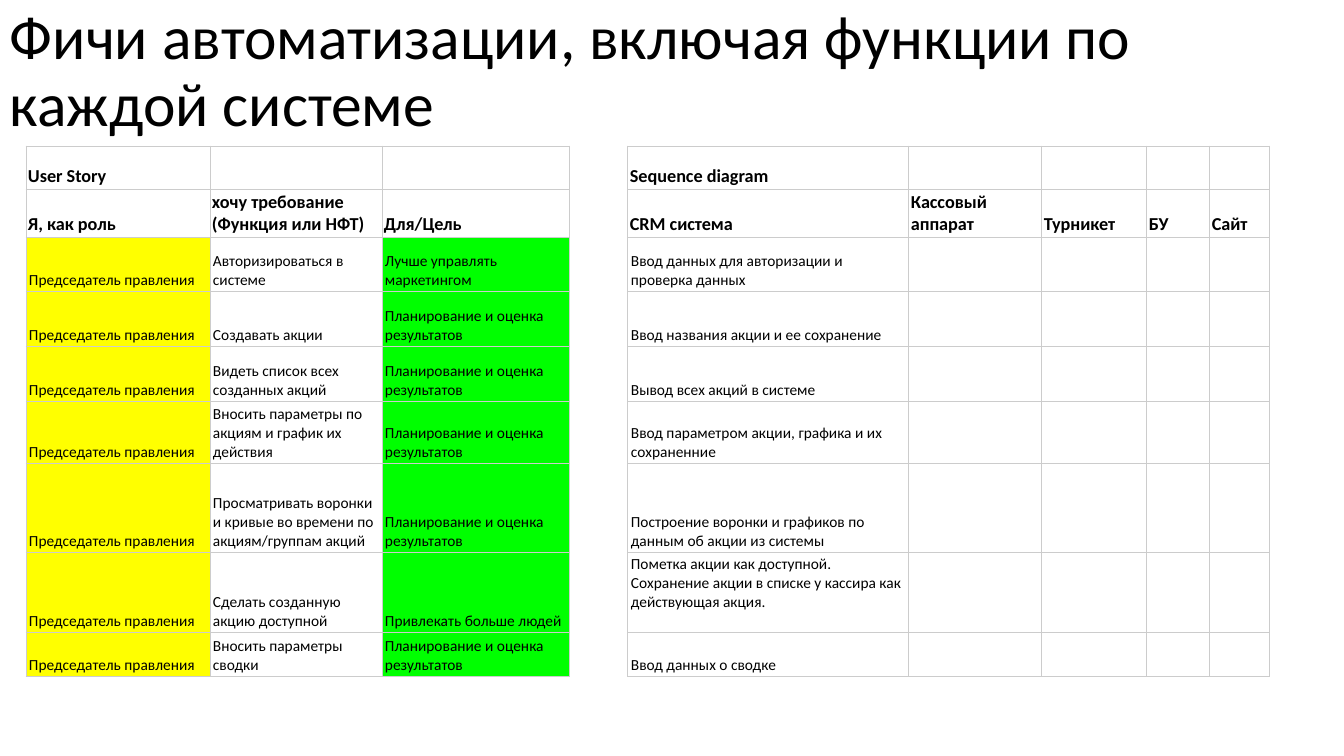
from dataclasses import dataclass

from lxml.etree import SubElement
from pptx import Presentation
from pptx.dml.color import RGBColor
from pptx.enum.text import MSO_ANCHOR
from pptx.oxml.ns import qn
from pptx.util import Emu, Pt

TITLE = "Фичи автоматизации, включая функции по каждой системе"
ROLE = "Председатель правления"
PLANNING = "Планирование и оценка результатов"

HEADERS = [
    ["User Story", "", "", "", "Sequence diagram", "", "", "", ""],
    ["Я, как роль", "хочу требование (Функция или НФТ)", "Для/Цель", "",
     "CRM система", "Кассовый аппарат", "Турникет", "БУ", "Сайт"],
]
# requirement, goal, action in the CRM
STORIES = [
    ("Авторизироваться в системе", "Лучше управлять маркетингом",
     "Ввод данных для авторизации и проверка данных"),
    ("Создавать акции", PLANNING, "Ввод названия акции и ее сохранение"),
    ("Видеть список всех созданных акций", PLANNING, "Вывод всех акций в системе"),
    ("Вносить параметры по акциям и график их действия", PLANNING,
     "Ввод параметром акции, графика и их сохраненние"),
    ("Просматривать воронки и кривые во времени по акциям/группам акций", PLANNING,
     "Построение воронки и графиков по данным об акции из системы"),
    ("Сделать созданную акцию доступной", "Привлекать больше людей",
     "Пометка акции как доступной.\n"
     "Сохранение акции в списке у кассира как действующая акция."),
    ("Вносить параметры сводки", PLANNING, "Ввод данных о сводке"),
]

PAGE_SIZE = (1344, 756)
TITLE_BOX = (0, 0, 1159, 146)
TABLE_ORIGIN = (26, 146)
COLUMN_WIDTHS = [184, 172, 188, 58, 281, 133, 105, 63, 60]
ROW_HEIGHTS = [43, 48, 55, 55, 55, 62, 89, 80, 44]
ROLE_COLUMN, GOAL_COLUMN, GAP_COLUMN = 0, 2, 3
LIFTED_BY = 21  # room under the only text with a line break


@dataclass(frozen=True)
class Theme:
    font: str = "Calibri"
    text: str = "000000"
    grid: str = "CCCCCC"
    role: str = "FFFF00"
    goal: str = "00FF00"
    title_size: int = 44
    header_size: int = 13
    body_size: int = 11
    grid_width: float = 0.75


THEME = Theme()


def px(length):
    return Emu(round(length * 914400 / 100.8))


def write(para, text, size, bold=False):
    for number, line in enumerate(text.split("\n")):
        if number:
            para.add_line_break()
        span = para.add_run()
        span.text = line
        span.font.name = THEME.font
        span.font.size = Pt(size)
        span.font.bold = bold
        span.font.color.rgb = RGBColor.from_string(THEME.text)


def draw_borders(cell, visible):
    """Draw the named sides (L, R, T, B) and clear the others."""
    properties = cell._tc.get_or_add_tcPr()
    for side in "LRTB":
        line = SubElement(properties, qn(f"a:ln{side}"), w=str(Pt(THEME.grid_width)))
        if side in visible:
            fill = SubElement(line, qn("a:solidFill"))
            SubElement(fill, qn("a:srgbClr"), val=THEME.grid)
        else:
            SubElement(line, qn("a:noFill"))


def fill_cell(cell, text, column, is_header):
    draw_borders(cell, "LR" if column == GAP_COLUMN else "LRTB")
    fills = {} if is_header else {ROLE_COLUMN: THEME.role, GOAL_COLUMN: THEME.goal}
    if column in fills:
        cell.fill.solid()
        cell.fill.fore_color.rgb = RGBColor.from_string(fills[column])
    else:
        cell.fill.background()
    cell.vertical_anchor = MSO_ANCHOR.BOTTOM
    cell.margin_left = cell.margin_right = px(2 if is_header else 3)
    cell.margin_top = px(2)
    cell.margin_bottom = px(LIFTED_BY if "\n" in text else 2)
    if text:
        size = THEME.header_size if is_header else THEME.body_size
        write(cell.text_frame.paragraphs[0], text, size, is_header)


def add_title(page):
    frame = page.shapes.add_textbox(*map(px, TITLE_BOX)).text_frame
    frame.word_wrap = True
    frame.vertical_anchor = MSO_ANCHOR.MIDDLE
    para = frame.paragraphs[0]
    para.line_spacing = 0.9
    write(para, TITLE, THEME.title_size)


def add_story_table(page):
    rows = HEADERS + [[ROLE, need, goal, "", action, "", "", "", ""]
                      for need, goal, action in STORIES]
    bounds = (*TABLE_ORIGIN, sum(COLUMN_WIDTHS), sum(ROW_HEIGHTS))
    table = page.shapes.add_table(
        len(rows), len(COLUMN_WIDTHS), *map(px, bounds)).table
    table.first_row = table.horz_banding = False
    for column, width in zip(table.columns, COLUMN_WIDTHS):
        column.width = px(width)
    for row, height in zip(table.rows, ROW_HEIGHTS):
        row.height = px(height)
    for row_number, texts in enumerate(rows):
        for column, text in enumerate(texts):
            fill_cell(table.cell(row_number, column), text, column,
                      row_number < len(HEADERS))


def main():
    deck = Presentation()
    deck.slide_width, deck.slide_height = map(px, PAGE_SIZE)
    page = deck.slides.add_slide(deck.slide_layouts[6])
    add_title(page)
    add_story_table(page)
    deck.save("out.pptx")


if __name__ == "__main__":
    main()
